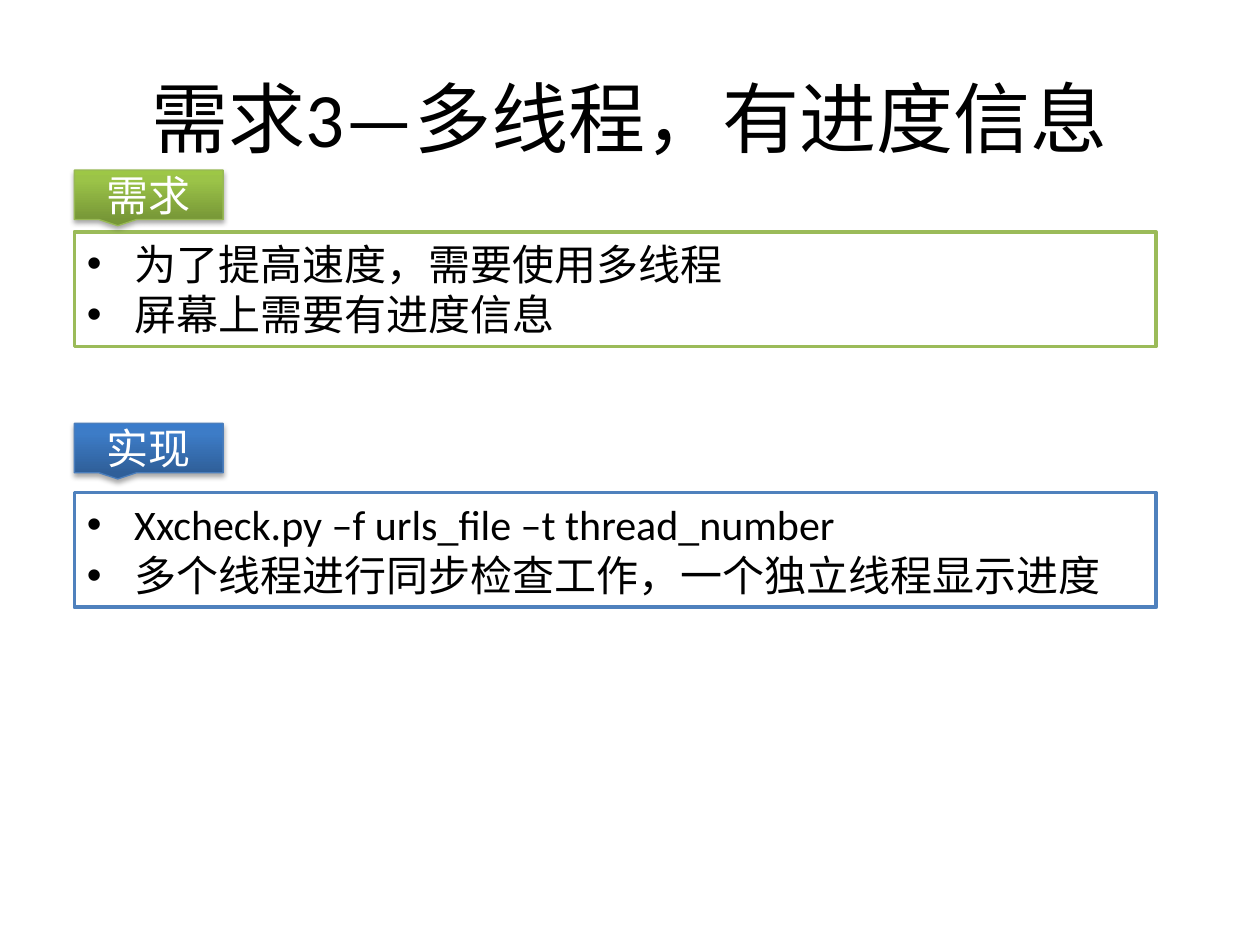
import copy

import pptx
import pptx.dml.color
import pptx.enum.shapes
import pptx.enum.text
import pptx.oxml
import pptx.oxml.ns
import pptx.util

Pt = pptx.util.Pt
PP = pptx.enum.text.PP_ALIGN
ANCHOR = pptx.enum.text.MSO_ANCHOR

SHADOW = (
    f'<a:effectLst {pptx.oxml.ns.nsdecls("a")}>'
    '<a:outerShdw blurRad="39370" dist="22860" dir="5400000" rotWithShape="0">'
    '<a:srgbClr val="000000"><a:alpha val="35000"/></a:srgbClr>'
    '</a:outerShdw></a:effectLst>'
)


def color(hex_string):
    return pptx.dml.color.RGBColor.from_string(hex_string)


def write(paragraph, text, size, hex_string):
    run = paragraph.add_run()
    run.text = text
    formats = {"size": Pt(size), "name": "Calibri"}
    for name, value in formats.items():
        setattr(run.font, name, value)
    run.font.color.rgb = color(hex_string)


presentation = pptx.Presentation()
presentation.slide_width, presentation.slide_height = Pt(720), Pt(540)
slide = presentation.slides.add_slide(presentation.slide_layouts.get_by_name("Two Content"))
for placeholder in list(slide.placeholders):
    if placeholder.placeholder_format.idx > 2:
        placeholder.element.getparent().remove(placeholder.element)

# Title
title = slide.shapes.title
title_box = {"left": 36, "top": 21.6, "width": 648, "height": 90}
for name, value in title_box.items():
    setattr(title, name, Pt(value))
title.text_frame.vertical_anchor = ANCHOR.MIDDLE
title_paragraph = title.text_frame.paragraphs[0]
title_paragraph.alignment = PP.CENTER
write(title_paragraph, "需求3—多线程，有进度信息", 44, "000000")

# Sections: a label above an outlined list
sections = [
    {
        "label": "需求", "label_top": 97.2, "list_top": 132.5,
        "outline": "9BBB59", "label_line": "98B955",
        "gradient": ["779737", "9BC348", "9DC746"],
        "items": ["为了提高速度，需要使用多线程", "屏幕上需要有进度信息"],
    },
    {
        "label": "实现", "label_top": 241.9, "list_top": 281.5,
        "outline": "4F81BD", "label_line": "4B7EBC",
        "gradient": ["2F5F99", "3D7CC7", "3A7CCB"],
        "items": ["Xxcheck.py –f urls_file –t thread_number",
                  "多个线程进行同步检查工作，一个独立线程显示进度"],
    },
]
left = 42.5

for idx, section in enumerate(sections, start=1):
    # Outlined list, kept at a fixed height
    body = slide.placeholders[idx]
    body_box = {"left": left, "top": section["list_top"], "width": 618.2, "height": 65.5}
    for name, value in body_box.items():
        setattr(body, name, Pt(value))
    body.fill.solid()
    body.fill.fore_color.rgb = color("FFFFFF")
    body.line.color.rgb = color(section["outline"])
    body.line.width = Pt(2)
    frame = body.text_frame
    frame.vertical_anchor = ANCHOR.TOP
    frame.auto_size = pptx.enum.text.MSO_AUTO_SIZE.NONE
    for number, item in enumerate(section["items"]):
        paragraph = frame.add_paragraph() if number else frame.paragraphs[0]
        paragraph.space_before = Pt(0)
        properties = paragraph._p.get_or_add_pPr()
        properties.set("marL", str(Pt(27)))
        properties.set("indent", str(Pt(-27)))
        write(paragraph, item, 24, "000000")

    # Label with gradient and soft shadow
    label = slide.shapes.add_shape(
        pptx.enum.shapes.MSO_SHAPE.RECTANGULAR_CALLOUT,
        Pt(left), Pt(section["label_top"]), Pt(85), Pt(28.3))
    label.fill.gradient()
    label.fill.gradient_angle = 90
    stop_list = label._element.spPr.find(".//" + pptx.oxml.ns.qn("a:gsLst"))
    stop_list.append(copy.deepcopy(stop_list[-1]))
    for stop, position, hex_string in zip(
            label.fill.gradient_stops, [0, 0.8, 1], section["gradient"]):
        stop.position = position
        stop.color.rgb = color(hex_string)
    label.line.color.rgb = color(section["label_line"])
    label.line.width = Pt(0.75)
    label._element.spPr.append(pptx.oxml.parse_xml(SHADOW))
    label.text_frame.vertical_anchor = ANCHOR.MIDDLE
    label_paragraph = label.text_frame.paragraphs[0]
    label_paragraph.alignment = PP.CENTER
    write(label_paragraph, section["label"], 24, "FFFFFF")

presentation.save("out.pptx")
